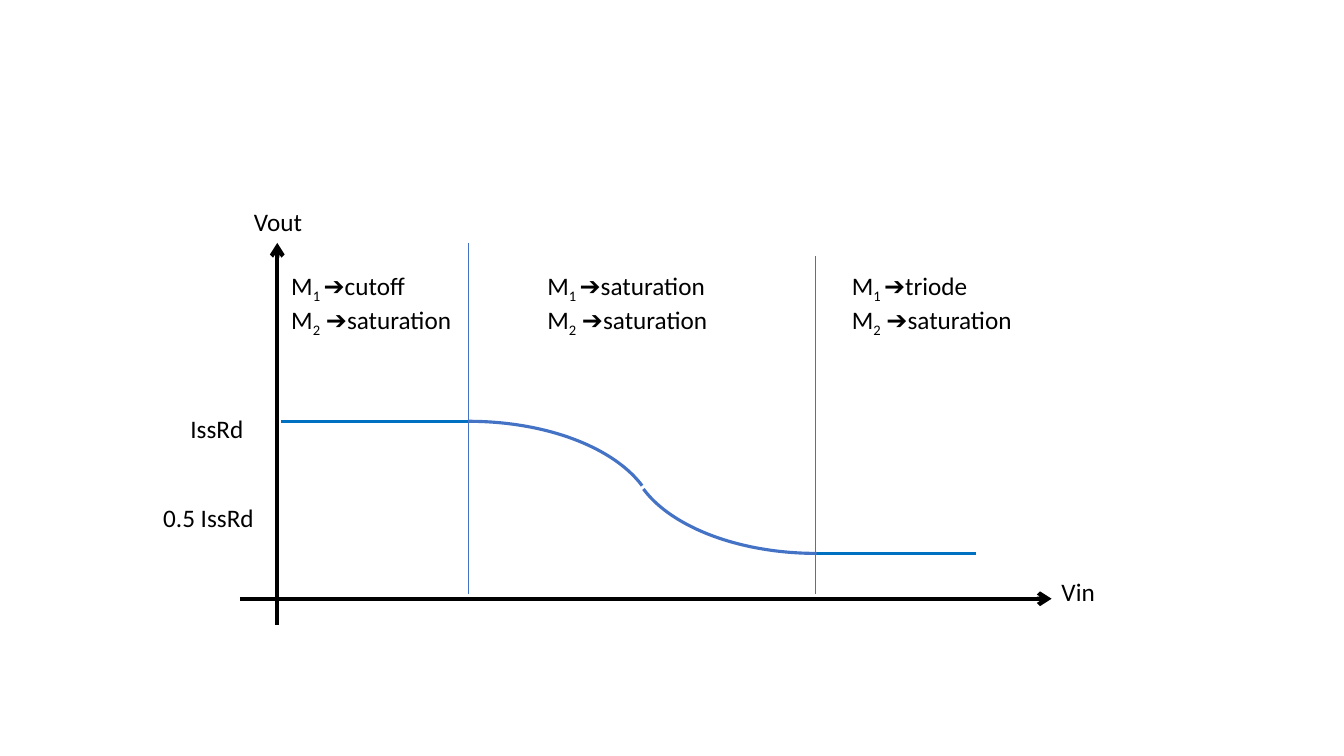
from collections import namedtuple

from lxml.etree import SubElement
from pptx import Presentation
from pptx.dml.color import RGBColor
from pptx.enum.shapes import MSO_CONNECTOR as Connector, MSO_SHAPE as Shape
from pptx.enum.text import MSO_AUTO_SIZE as AutoSize
from pptx.oxml.ns import qn
from pptx.util import Inches, Pt

BLACK = RGBColor(0x00, 0x00, 0x00)
BLUE = RGBColor(0x00, 0x70, 0xC0)
ACCENT = RGBColor(0x44, 0x72, 0xC4)

Box = namedtuple("Box", "left top width height")


def add_line(page, start, end, color, weight, arrow=False):
    points = [Inches(value) for value in (*start, *end)]
    line = page.shapes.add_connector(Connector.STRAIGHT, *points)
    line.line.color.rgb = color
    line.line.width = Pt(weight)
    properties = line.element.spPr
    if arrow:
        SubElement(properties.find(qn("a:ln")), qn("a:tailEnd"), type="arrow")
    SubElement(properties, qn("a:effectLst"))


def add_span(para, text, subscript=False):
    span = para.add_run()
    span.text = text
    span.font.name = "Calibri"
    span.font.size = Pt(18)
    span.font.color.rgb = BLACK
    if subscript:
        span.font._element.set("baseline", "-25000")


def add_text(page, box, lines):
    frame = page.shapes.add_textbox(*map(Inches, box)).text_frame
    frame.word_wrap = True
    frame.auto_size = AutoSize.SHAPE_TO_FIT_TEXT
    for index, spans in enumerate(lines):
        para = frame.add_paragraph() if index else frame.paragraphs[0]
        for text, subscript in spans:
            add_span(para, text, subscript)


def add_arc(page, box, rotation):
    arc = page.shapes.add_shape(Shape.ARC, *map(Inches, box))
    arc.adjustments[0] = 162
    arc.adjustments[1] = 208.21
    arc.rotation = rotation
    arc.shadow.inherit = False
    arc.fill.background()
    arc.line.color.rgb = ACCENT
    arc.line.width = Pt(2.25)


def draw_axes(page, box):
    bottom, right = box.top + box.height, box.left + box.width
    add_line(page, (box.left, bottom + 0.26), (box.left, box.top), BLACK, 3, True)
    add_line(page, (box.left - 0.37, bottom), (right, bottom), BLACK, 3, True)
    labels = [
        ("Vout", -0.33, -0.41, 0.74, 0.4),
        ("Vin", box.width, box.height - 0.27, 0.74, 0.4),
        ("IssRd", -0.96, 1.64, 0.74, 0.4),
        ("0.5 IssRd", -1.23, 2.52, 1.16, 0.71),
    ]
    for text, across, down, width, height in labels:
        label_box = Box(box.left + across, box.top + down, width, height)
        add_text(page, label_box, [[(text, False)]])


def draw_curve(page, box):
    high, low = box.top + 1.77, box.top + 3.08
    start, cutoff_edge = box.left + 0.04, box.left + 1.9
    triode_edge, end = box.left + 5.27, box.left + 6.93
    width, height = 3.72, 2.07
    add_line(page, (start, high), (cutoff_edge, high), BLUE, 2.25)
    add_line(page, (triode_edge, low), (end, low), BLUE, 2.25)
    add_arc(page, Box(cutoff_edge - width / 2, high, width, height), 0)
    add_arc(page, Box(box.left + 3.49, low - height, width, height), 180)


def draw_regions(page, box):
    for across, down in [(1.9, 0), (5.34, 0.13)]:
        edge = box.left + across
        bottom = box.top + box.height - 0.05
        add_line(page, (edge, box.top + down), (edge, bottom), ACCENT, 0.5)
    regions = [
        ("cutoff", 0.04, 1.91),
        ("saturation", 2.58, 1.91),
        ("triode", 5.6, 1.86),
    ]
    for state, across, width in regions:
        lines = [
            [("M", False), ("1 ", True), (f"➔{state}", False)],
            [("M", False), ("2", True), (" ➔saturation", False)],
        ]
        add_text(page, Box(box.left + across, box.top + 0.22, width, 0.71), lines)


def main():
    deck = Presentation()
    deck.slide_width = Inches(13.33)
    deck.slide_height = Inches(7.5)
    page = deck.slides.add_slide(deck.slide_layouts[6])
    plot = Box(2.75, 2.41, 7.68, 3.53)
    draw_axes(page, plot)
    draw_curve(page, plot)
    draw_regions(page, plot)
    deck.save("out.pptx")


if __name__ == "__main__":
    main()
